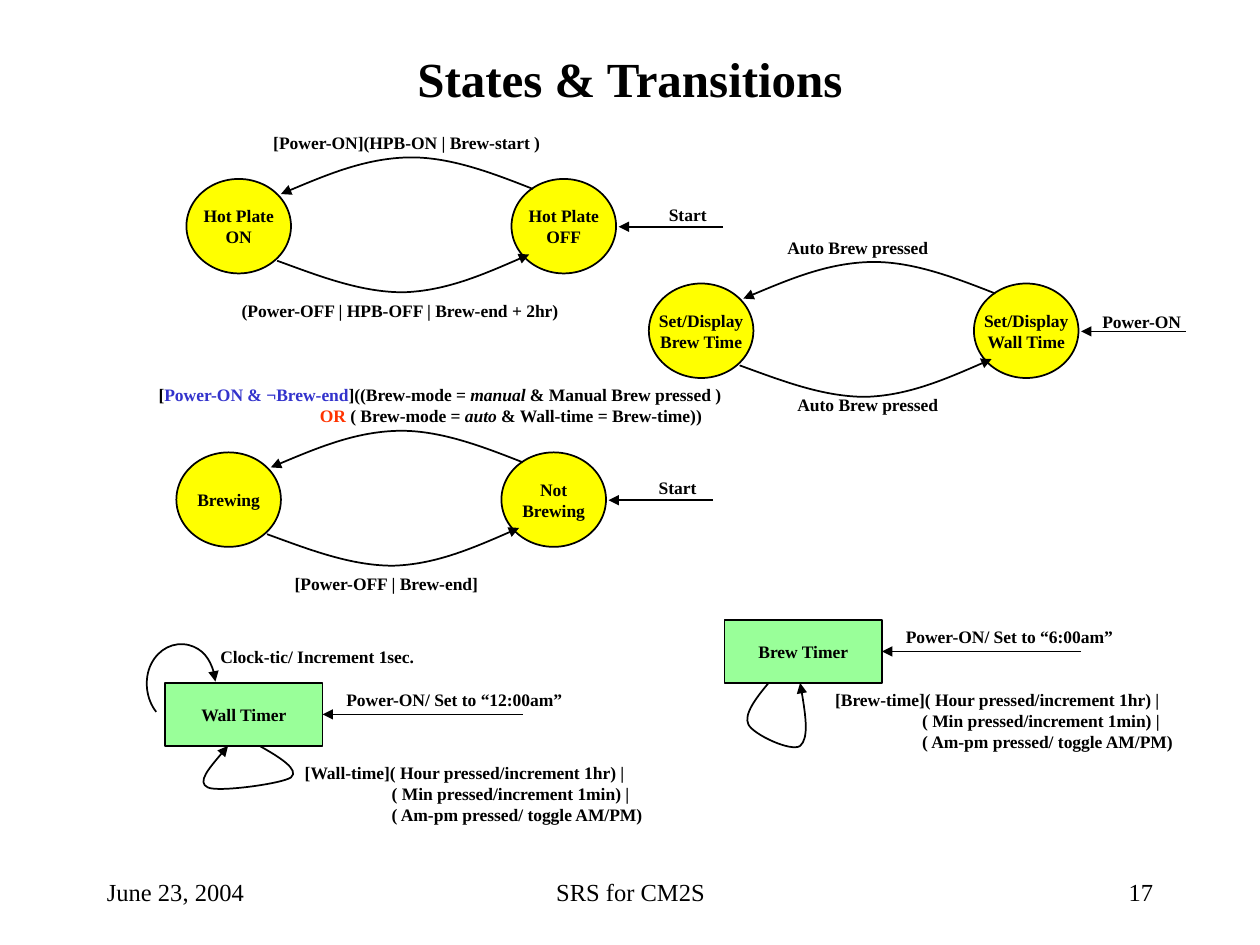
from lxml.etree import SubElement
from pptx import Presentation
from pptx.dml.color import RGBColor
from pptx.enum.shapes import MSO_CONNECTOR, MSO_SHAPE
from pptx.enum.text import MSO_ANCHOR, PP_ALIGN
from pptx.oxml.ns import qn
from pptx.util import Inches, Pt

HUES = {"ink": "000000", "state": "FFFF00", "timer": "99FF99",
        "guard": "3333CC", "or": "FF3300"}
LEFT, MID, RIGHT = PP_ALIGN.LEFT, PP_ALIGN.CENTER, PP_ALIGN.RIGHT
UPPER = [(2.75, 0.08), (2.42, -0.05), (2.08, -0.18), (1.75, -0.17),
         (1.42, -0.16), (1.08, -0.02), (0.75, 0.12)]
LOWER = [(0.72, 0.65), (1.05, 0.77), (1.38, 0.9), (1.72, 0.9),
         (2.05, 0.89), (2.38, 0.75), (2.72, 0.6)]


class Chart:
    """Draws styled state diagram parts on the current slide."""

    def __init__(self, slide, font="Times New Roman", size=10):
        self.shapes = slide.shapes
        self.font = font
        self.size = size

    def hue(self, name):
        return RGBColor.from_string(HUES[name])

    def words(self, frame, lines, align, size, bold, indent=0):
        for i, line in enumerate(lines):
            para = frame.paragraphs[0] if i == 0 else frame.add_paragraph()
            para.alignment = align
            if i and indent:
                para._p.get_or_add_pPr().set("marL", str(Inches(indent)))
            parts = [(line, "ink", False)] if isinstance(line, str) else line
            for text, hue, slant in parts:
                run = para.add_run()
                run.text = text
                font = run.font
                font.name, font.size = self.font, Pt(size)
                font.bold, font.italic = bold, slant
                font.color.rgb = self.hue(hue)

    def label(self, x, y, w, lines, indent=0):
        high = 0.1 + 0.17 * len(lines)
        box = self.shapes.add_textbox(Inches(x), Inches(y), Inches(w), Inches(high))
        box.text_frame.word_wrap = False
        self.words(box.text_frame, lines, LEFT, self.size, True, indent)

    def banner(self, x, y, w, h, text, align, size, bold=False):
        box = self.shapes.add_textbox(Inches(x), Inches(y), Inches(w), Inches(h))
        frame = box.text_frame
        frame.word_wrap = True
        frame.vertical_anchor = MSO_ANCHOR.MIDDLE
        self.words(frame, [text], align, size, bold)

    def node(self, kind, x, y, w, h, lines, fill):
        node = self.shapes.add_shape(kind, Inches(x), Inches(y), Inches(w), Inches(h))
        node.shadow.inherit = False
        node.fill.solid()
        node.fill.fore_color.rgb = self.hue(fill)
        node.line.color.rgb = self.hue("ink")
        node.line.width = Pt(1)
        frame = node.text_frame
        frame.word_wrap = False
        frame.vertical_anchor = MSO_ANCHOR.MIDDLE
        self.words(frame, lines, MID, self.size, True)
        return node

    def state(self, x, y, lines):
        return self.node(MSO_SHAPE.OVAL, x, y, 0.83, 0.75, lines, "state")

    def timer(self, x, y, name):
        return self.node(MSO_SHAPE.RECTANGLE, x, y, 1.25, 0.5, [name], "timer")

    def tip(self, line):
        line.color.rgb = self.hue("ink")
        line.width = Pt(1)
        SubElement(line._get_or_add_ln(), qn("a:tailEnd"), type="triangle")

    def arrow(self, start, end, y, node=None):
        link = self.shapes.add_connector(
            MSO_CONNECTOR.STRAIGHT, Inches(start), Inches(y), Inches(end), Inches(y))
        if node is not None:
            link.end_connect(node, 3)
        self.tip(link.line)
        SubElement(link._element.spPr, qn("a:effectLst"))

    def curve(self, points, x=0, y=0):
        spots = [(Inches(x + a), Inches(y + b)) for a, b in points]
        pen = self.shapes.build_freeform(*spots[0])
        pen.add_line_segments(spots[1:], close=False)
        bend = pen.convert_to_shape()
        bend.shadow.inherit = False
        bend.fill.background()
        self.tip(bend.line)
        route = bend._element.find(".//" + qn("a:path"))
        legs = route.findall(qn("a:lnTo"))
        for i in range(0, len(legs), 3):
            cubic = SubElement(route, qn("a:cubicBezTo"))
            for leg in legs[i:i + 3]:
                cubic.append(leg[0])
                route.remove(leg)

    def pair(self, x, y, left, right):
        self.state(x, y, left)
        self.state(x + 2.58, y, right)
        self.arrow(x + 4.26, x + 3.43, y + 0.38)
        self.curve(UPPER, x, y)
        self.curve(LOWER, x, y)


def main():
    deck = Presentation()
    deck.slide_width, deck.slide_height = Inches(10), Inches(7.5)
    art = Chart(deck.slides.add_slide(deck.slide_layouts[6]))
    art.banner(0.75, 0.33, 8.5, 0.58, "States & Transitions", MID, 28, True)

    for x, y, left, right in [
        (1.48, 1.42, ["Hot Plate", "ON"], ["Hot Plate", "OFF"]),
        (1.4, 3.59, ["Brewing"], ["Not", "Brewing"]),
        (5.15, 2.25, ["Set/Display", "Brew Time"], ["Set/Display", "Wall Time"]),
    ]:
        art.pair(x, y, left, right)

    for x, y, name, start, label, wide in [
        (1.31, 5.42, "Wall Timer", 4.15, "Power-ON/ Set to “12:00am”", 1.91),
        (5.75, 4.92, "Brew Timer", 8.58, "Power-ON/ Set to “6:00am”", 1.85),
    ]:
        art.arrow(start, x + 1.25, y + 0.25, art.timer(x, y, name))
        art.label(x + 1.34, y, wide, [label])

    for loop in [
        [(1.24, 5.65), (1.16, 5.55), (1.14, 5.39), (1.2, 5.27), (1.26, 5.15),
         (1.38, 5.09), (1.5, 5.12), (1.61, 5.15), (1.7, 5.27), (1.71, 5.41)],
        [(2.06, 5.92), (2.22, 6.01), (2.38, 6.11), (2.31, 6.17), (2.24, 6.22),
         (1.73, 6.29), (1.65, 6.25), (1.56, 6.21), (1.69, 6.06), (1.81, 5.92)],
        [(6.1, 5.42), (6, 5.54), (5.9, 5.67), (5.94, 5.75), (5.98, 5.83),
         (6.28, 5.97), (6.35, 5.92), (6.42, 5.86), (6.39, 5.64), (6.35, 5.42)],
    ]:
        art.curve(loop)

    for x, y, wide, text in [
        (5.21, 1.57, 0.5, "Start"),
        (2.07, 1, 2.32, "[Power-ON](HPB-ON | Brew-start )"),
        (1.82, 2.33, 2.73, "(Power-OFF | HPB-OFF | Brew-end + 2hr)"),
        (5.13, 3.74, 0.5, "Start"),
        (2.24, 4.5, 1.66, "[Power-OFF | Brew-end]"),
        (8.65, 2.42, 0.83, "Power-ON"),
        (6.15, 1.83, 1.32, "Auto Brew pressed"),
        (6.23, 3.08, 1.32, "Auto Brew pressed"),
        (1.65, 5.08, 1.74, "Clock-tic/ Increment 1sec."),
    ]:
        art.label(x, y, wide, [text])

    art.label(1.16, 3, 4.71, [
        [("[", "ink", False), ("Power-ON & ¬Brew-end", "guard", False),
         ("]((Brew-mode = ", "ink", False), ("manual", "ink", True),
         (" & Manual Brew pressed ) ", "ink", False)],
        [("OR ", "or", False), ("( Brew-mode = ", "ink", False),
         ("auto", "ink", True), (" & Wall-time = Brew-time))", "ink", False)],
    ], 1.28)
    for x, y, name in [(2.32, 6, "Wall"), (6.53, 5.42, "Brew")]:
        art.label(x, y, 2.89, [f"[{name}-time]( Hour pressed/increment 1hr) |",
                               "( Min pressed/increment 1min) |",
                               "( Am-pm pressed/ toggle AM/PM)"], 0.69)

    for x, wide, text, align in [(3.42, 3.17, "SRS for CM2S", MID),
                                 (7.17, 2.08, "17", RIGHT),
                                 (0.75, 2.08, "June 23, 2004", LEFT)]:
        art.banner(x, 6.83, wide, 0.5, text, align, 14)
    deck.save("out.pptx")


if __name__ == "__main__":
    main()
